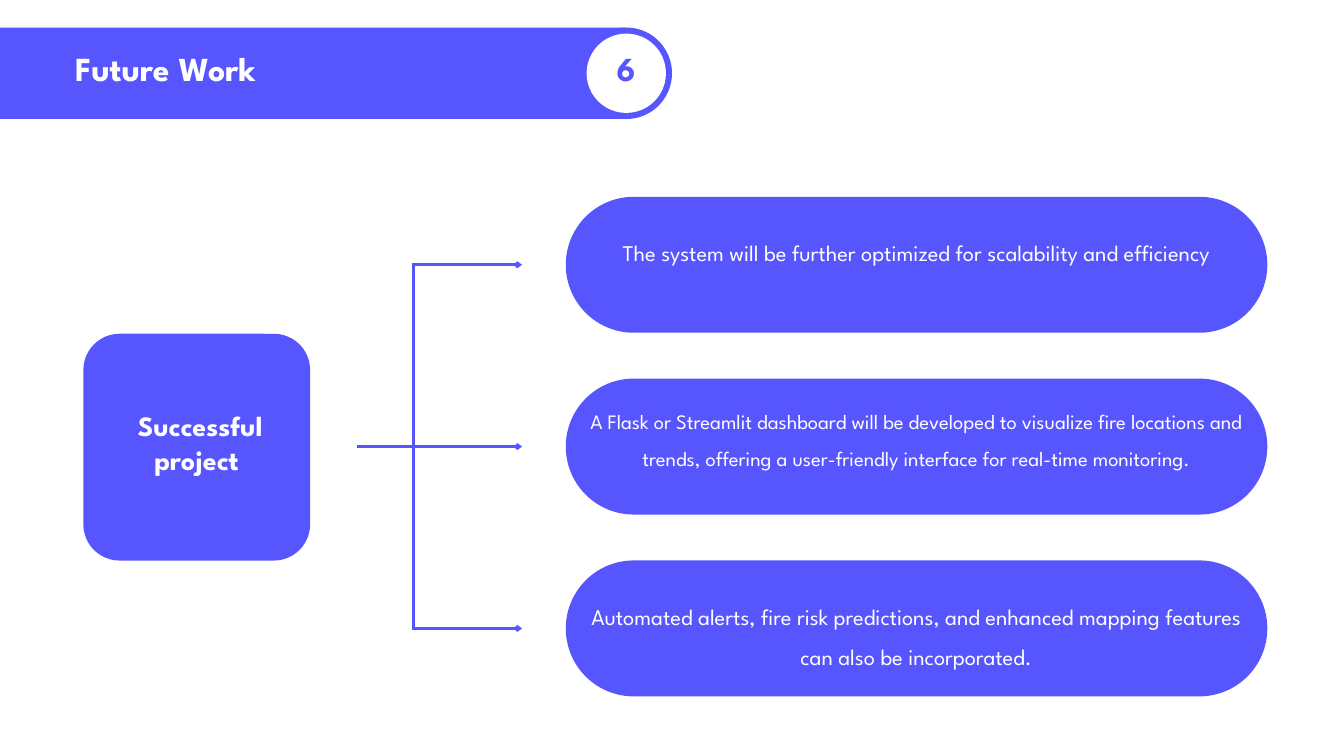
from typing import NamedTuple

from lxml.etree import SubElement
from pptx import Presentation
from pptx.dml.color import RGBColor
from pptx.enum.shapes import MSO_CONNECTOR as Connector, MSO_SHAPE as Shape
from pptx.enum.text import MSO_ANCHOR as Anchor, MSO_AUTO_SIZE as AutoSize, PP_ALIGN as Align
from pptx.oxml.ns import qn
from pptx.util import Pt

COLORS = {"indigo": "5755FE", "white": "FFFFFF"}
FONT = "League Spartan"

BANNER_TOP, BANNER_HEIGHT = 29.5, 98
BANNER_RIGHT = 720
RING = 6.5

PILL_LEFT, PILL_WIDTH, PILL_HEIGHT = 606.2, 751.7, 145.7
PILL_TEXT_LEFT, PILL_TEXT_WIDTH = 630, 703.4
FIRST_ROW, ROW_PITCH = 283.7, 194.8
TRUNK_X, ARROW_END = 442.8, 559.4


class Box(NamedTuple):
    left: float
    top: float
    width: float
    height: float


class TextStyle(NamedTuple):
    size: float
    leading: float
    color: str = "white"
    bold: bool = False
    align: Align = Align.CENTER


class Goal(NamedTuple):
    text: str
    text_top: float
    text_height: float
    style: TextStyle
    arrow_start: float


HEADING = TextStyle(36, 43.2, bold=True, align=Align.LEFT)
NUMBER = TextStyle(36, 43.2, color="indigo", bold=True)
PROJECT = TextStyle(30, 36, bold=True)
GOAL = TextStyle(24, 43.2)
LONG_GOAL = TextStyle(22, 39.6)

GOALS = [
    Goal("The system will be further optimized for scalability and efficiency",
         242, 43.2, GOAL, 441.4),
    Goal("A Flask or Streamlit dashboard will be developed to visualize fire locations and "
         "trends, offering a user-friendly interface for real-time monitoring.",
         424.8, 117.4, LONG_GOAL, 382.3),
    Goal("Automated alerts, fire risk predictions, and enhanced mapping features "
         "can also be incorporated.",
         631.4, 86.4, GOAL, 441.4),
]


def rgb(color: str) -> RGBColor:
    return RGBColor.from_string(COLORS[color])


def add_block(slide, kind: Shape, box: Box, color: str = "indigo", rounding: float | None = None) -> None:
    block = slide.shapes.add_shape(kind, *map(Pt, box))
    block.shadow.inherit = False
    block.fill.solid()
    block.fill.fore_color.rgb = rgb(color)
    block.line.fill.background()
    if rounding is not None:
        block.adjustments[0] = rounding


def add_line(slide, start: tuple[float, float], end: tuple[float, float], arrow: bool = True) -> None:
    link = slide.shapes.add_connector(Connector.STRAIGHT, *map(Pt, start + end))
    link.line.color.rgb = rgb("indigo")
    link.line.width = Pt(3)
    if arrow:
        SubElement(link.line.fill and link.element.spPr.find(qn("a:ln")),
                   qn("a:tailEnd"), type="arrow", w="sm", len="sm")
    SubElement(link.element.spPr, qn("a:effectLst"))


def write(holder, box: Box, text: str, style: TextStyle) -> None:
    holder.left, holder.top, holder.width, holder.height = map(Pt, box)
    frame = holder.text_frame
    frame.text = text
    frame.word_wrap = True
    frame.auto_size = AutoSize.NONE
    frame.vertical_anchor = Anchor.TOP
    frame.margin_left = frame.margin_right = frame.margin_top = frame.margin_bottom = 0
    for paragraph in frame.paragraphs:
        paragraph.alignment = style.align
        paragraph.line_spacing = Pt(style.leading)
        paragraph.space_before = Pt(0)
        paragraph.font.name = FONT
        paragraph.font.size = Pt(style.size)
        paragraph.font.bold = style.bold
        paragraph.font.color.rgb = rgb(style.color)


def add_text(slide, box: Box, text: str, style: TextStyle) -> None:
    write(slide.shapes.add_textbox(*map(Pt, box)), box, text, style)


def draw_banner(slide) -> None:
    cap_left = BANNER_RIGHT - BANNER_HEIGHT
    add_block(slide, Shape.RECTANGLE,
              Box(0, BANNER_TOP, BANNER_RIGHT - BANNER_HEIGHT / 2, BANNER_HEIGHT))
    add_block(slide, Shape.OVAL, Box(cap_left, BANNER_TOP, BANNER_HEIGHT, BANNER_HEIGHT))
    disc = BANNER_HEIGHT - 2 * RING
    add_block(slide, Shape.OVAL, Box(cap_left + RING, BANNER_TOP + RING, disc, disc), "white")

    title = slide.shapes.title
    write(title, Box(80.6, 51.1, 501.8, 49), "Future Work", HEADING)
    title.element.getparent().append(title.element)
    add_text(slide, Box(650.2, 51.1, 41, 49), "6", NUMBER)


def draw_goal(slide, goal: Goal, row: float) -> None:
    add_block(slide, Shape.ROUNDED_RECTANGLE,
              Box(PILL_LEFT, row - PILL_HEIGHT / 2, PILL_WIDTH, PILL_HEIGHT), rounding=0.5)
    add_line(slide, (goal.arrow_start, row), (ARROW_END, row))
    add_text(slide, Box(PILL_TEXT_LEFT, goal.text_top, PILL_TEXT_WIDTH, goal.text_height),
             goal.text, goal.style)


def main() -> None:
    deck = Presentation()
    deck.slide_width, deck.slide_height = Pt(1440), Pt(810)
    slide = deck.slides.add_slide(deck.slide_layouts[5])

    draw_banner(slide)
    for index, goal in enumerate(GOALS):
        draw_goal(slide, goal, FIRST_ROW + index * ROW_PITCH)
    last_row = FIRST_ROW + (len(GOALS) - 1) * ROW_PITCH
    add_line(slide, (TRUNK_X, last_row + 1.4), (TRUNK_X, FIRST_ROW), arrow=False)

    add_block(slide, Shape.ROUNDED_RECTANGLE, Box(89.3, 357.6, 243, 243), rounding=0.16)
    add_text(slide, Box(109.4, 437.8, 202.3, 77), " Successful\nproject", PROJECT)

    deck.save("out.pptx")


if __name__ == "__main__":
    main()
